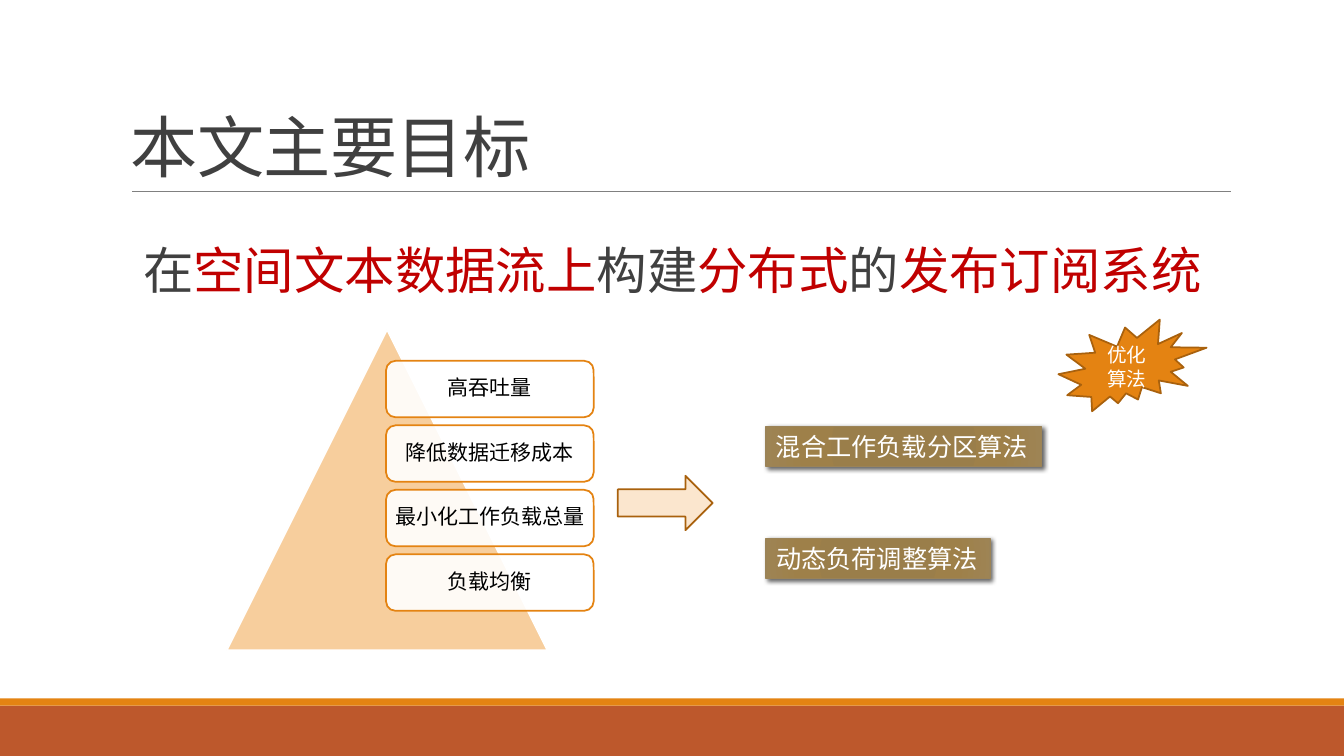
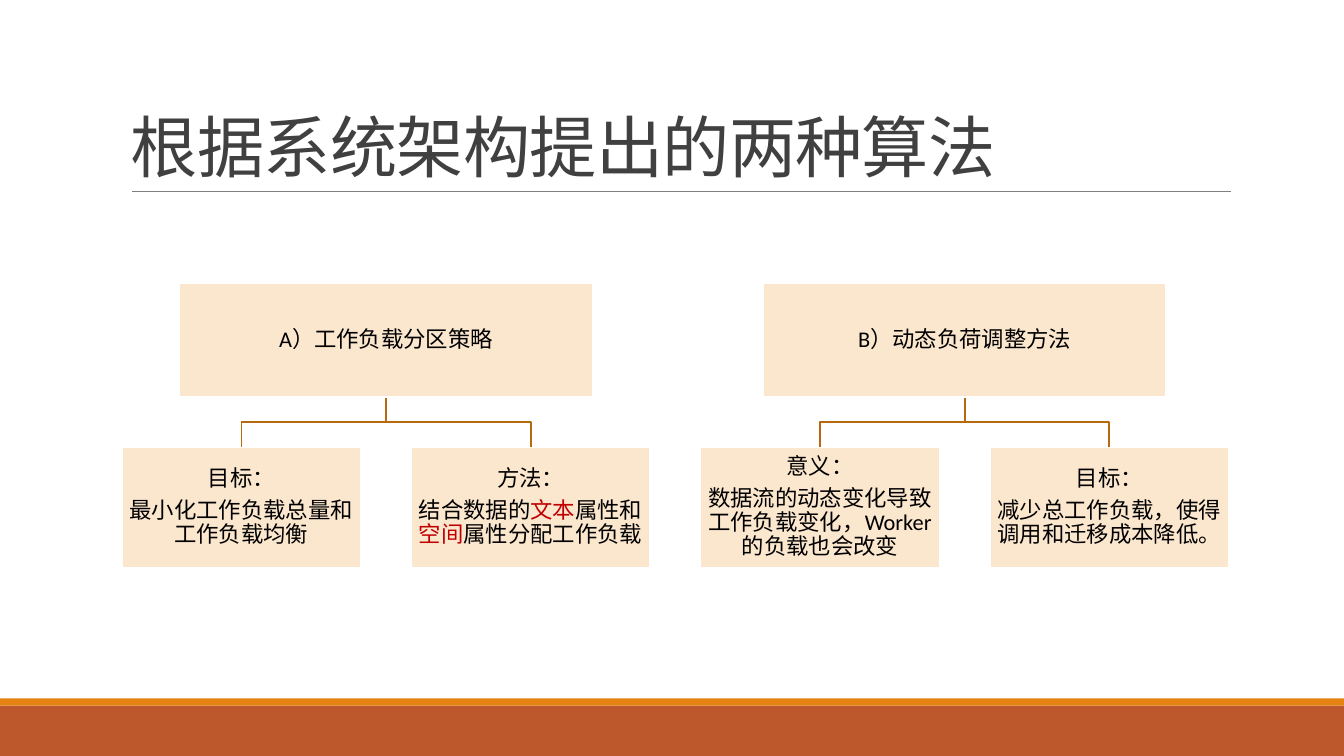
from pptx import Presentation
from pptx.dml.color import RGBColor
from pptx.enum.lang import MSO_LANGUAGE_ID
from pptx.enum.shapes import MSO_CONNECTOR, MSO_SHAPE
from pptx.enum.text import MSO_ANCHOR, PP_ALIGN
from pptx.oxml import parse_xml
from pptx.oxml.ns import nsdecls, qn
from pptx.util import Inches, Pt

RUST, ORANGE, DARK_ORANGE = "BD582C", "E48312", "A9610D"
PEACH, CREAM, WHITE, BLACK = "F7CE9D", "FBE6CE", "FFFFFF", "000000"
GREY, RULE_GREY, RED = "404040", "808080", "C00000"
TREE_LINE, BRONZE_LINE = "B7690E", "9B8357"
BRONZE_STOPS = {0: "9A7D48", 34: "9A7E4A", 70: "9E8049", 100: "9E8454"}

CENTRED = {"alignment": PP_ALIGN.CENTER}
DIAGRAM = {**CENTRED, "line_spacing": 0.9}
LEFT = {"alignment": PP_ALIGN.LEFT}


def rgb(color):
    return RGBColor.from_string(color)


def apply(target, values):
    for name, value in values.items():
        setattr(target, name, value)


def margins(horizontal, vertical):
    sides = {"left": horizontal, "right": horizontal, "top": vertical, "bottom": vertical}
    return {f"margin_{side}": Inches(value) for side, value in sides.items()}


class Deck:
    """Holds the presentation, its shared style and the current slide."""

    def __init__(self):
        self.presentation = Presentation()
        apply(self.presentation, {"slide_width": Inches(13.333), "slide_height": Inches(7.5)})
        self.slide = None

    def add_slide(self, title):
        self.slide = self.presentation.slides.add_slide(self.presentation.slide_layouts[6])
        self.shape(MSO_SHAPE.RECTANGLE, (0, 7, 13.333, 0.5), RUST)
        self.shape(MSO_SHAPE.RECTANGLE, (0, 6.93, 13.333, 0.07), ORANGE)
        self.rule((1.31, 1.9), (12.21, 1.9))
        box = self.text_box((1.2, 0.31, 11, 1.59), [title], 48, GREY,
                            frame={"vertical_anchor": MSO_ANCHOR.BOTTOM},
                            paragraph={"line_spacing": 0.85})
        for run in box.text_frame.paragraphs[0].runs:
            run.font._element.set("spc", "-50")

    def rule(self, start, end):
        points = [Inches(value) for value in (*start, *end)]
        line = self.slide.shapes.add_connector(MSO_CONNECTOR.STRAIGHT, *points)
        line.line.color.rgb = rgb(RULE_GREY)
        line.line.width = Pt(0.5)
        line._element.spPr.append(parse_xml(f"<a:effectLst {nsdecls('a')}/>"))

    def shape(self, kind, place, fill, outline=None, width=1.25):
        shape = self.slide.shapes.add_shape(kind, *map(Inches, place))
        shape.shadow.inherit = False
        shape.fill.solid()
        shape.fill.fore_color.rgb = rgb(fill)
        self.outline(shape, outline, width)
        return shape

    def outline(self, shape, color, width=1.25):
        if color:
            shape.line.color.rgb = rgb(color)
            shape.line.width = Pt(width)
        else:
            shape.line.fill.background()

    def text_box(self, place, paragraphs, size, color, **formats):
        box = self.slide.shapes.add_textbox(*map(Inches, place))
        self.add_text(box, paragraphs, size, color, **formats)
        return box

    def add_text(self, shape, paragraphs, size, color, font="Calibri", frame=None, paragraph=None):
        """Fill a shape; a paragraph is a string or a list of strings and (text, colour) pairs."""
        text_frame = shape.text_frame
        apply(text_frame, {"word_wrap": True, **(frame or {})})
        for index, content in enumerate(paragraphs):
            target = text_frame.add_paragraph() if index else text_frame.paragraphs[0]
            apply(target, paragraph or {})
            for part in [content] if isinstance(content, str) else content:
                text, run_color = (part, color) if isinstance(part, str) else part
                run = target.add_run()
                run.text = text
                apply(run.font, {"name": font, "size": Pt(size),
                                 "language_id": MSO_LANGUAGE_ID.SIMPLIFIED_CHINESE})
                run.font.color.rgb = rgb(run_color)

    def goal(self, place, text):
        """Rounded, slightly transparent card."""
        card = self.shape(MSO_SHAPE.ROUNDED_RECTANGLE, place, WHITE, ORANGE)
        color = card._element.spPr.find(qn("a:solidFill"))[0]
        color.append(parse_xml(f'<a:alpha {nsdecls("a")} val="90000"/>'))
        self.add_text(card, [text], 15, BLACK, frame=margins(0.05, 0.06), paragraph=DIAGRAM)

    def algorithm(self, place, text):
        """Bronze label with a radial gradient and a soft shadow."""
        label = self.shape(MSO_SHAPE.RECTANGLE, place, WHITE, BRONZE_LINE, 1)
        stops = "".join(f'<a:gs pos="{position * 1000}"><a:srgbClr val="{color}"/></a:gs>'
                        for position, color in BRONZE_STOPS.items())
        properties = label._element.spPr
        properties.replace(properties.find(qn("a:solidFill")), parse_xml(
            f'<a:gradFill {nsdecls("a")}><a:gsLst>{stops}</a:gsLst><a:path path="circle">'
            '<a:fillToRect l="100000" t="100000" r="100000" b="100000"/></a:path></a:gradFill>'))
        properties.find(qn("a:effectLst")).append(parse_xml(
            f'<a:outerShdw {nsdecls("a")} blurRad="{Pt(3)}" dist="{Pt(2)}" dir="2700000">'
            f'<a:srgbClr val="{BLACK}"><a:alpha val="60000"/></a:srgbClr></a:outerShdw>'))
        self.add_text(label, [text], 18, WHITE, paragraph=LEFT,
                      frame={"word_wrap": False, "vertical_anchor": MSO_ANCHOR.TOP})

    def node(self, place, paragraphs):
        box = self.shape(MSO_SHAPE.RECTANGLE, place, CREAM, WHITE)
        self.add_text(box, paragraphs, 16, BLACK, frame=margins(0.01, 0.01),
                      paragraph={**DIAGRAM, "space_after": Pt(5.6)})

    def branch(self, start, end):
        """Right-angled line that turns halfway down."""
        middle = (start[1] + end[1]) / 2
        points = [start, (start[0], middle), (end[0], middle), end]
        corners = [(Inches(x), Inches(y)) for x, y in points]
        builder = self.slide.shapes.build_freeform(*corners[0])
        builder.add_line_segments(corners[1:], close=False)
        line = builder.convert_to_shape()
        line.shadow.inherit = False
        line.fill.background()
        self.outline(line, TREE_LINE)


def build_goals(deck):
    deck.add_slide("本文主要目标")
    statement = ["在", ("空间文本数据流上", RED), "构建", ("分布式", RED), "的", ("发布订阅系统", RED)]
    deck.text_box((1.2, 2.39, 11, 4.03), [statement], 36, GREY, font="Times New Roman",
                  frame={**margins(0, 0.05), "margin_left": Inches(0.22)},
                  paragraph={"line_spacing": 0.9, "space_before": Pt(2), "space_after": Pt(4)})
    deck.shape(MSO_SHAPE.ISOSCELES_TRIANGLE, (2.25, 3.27, 3.18, 3.18), PEACH, WHITE)
    goals = ["高吞吐量", "降低数据迁移成本", "最小化工作负载总量", "负载均衡"]
    for row, goal in enumerate(goals):
        deck.goal((3.83, 3.58 + row * 0.64, 2.06, 0.56), goal)
    deck.shape(MSO_SHAPE.RIGHT_ARROW, (6.13, 4.72, 0.94, 0.54), CREAM, DARK_ORANGE)
    deck.algorithm((7.6, 4.23, 2.73, 0.4), "混合工作负载分区算法")
    deck.algorithm((7.6, 5.34, 2.22, 0.4), "动态负荷调整算法")
    burst = deck.shape(MSO_SHAPE.EXPLOSION2, (10.5, 3.17, 1.47, 0.91), ORANGE, DARK_ORANGE)
    deck.add_text(burst, ["优化算法"], 14, WHITE, paragraph=CENTRED)


def build_algorithms(deck):
    deck.add_slide("根据系统架构提出的两种算法")
    method = ["结合数据的", ("文本", RED), "属性和", ("空间", RED), "属性分配工作负载"]
    trees = [
        ("A）工作负载分区策略", 4.11,
         [["目标：", "最小化工作负载总量和工作负载均衡"], ["方法：", method]]),
        ("B）动态负荷调整方法", 4,
         [["意义：", "数据流的动态变化导致工作负载变化，Worker的负载也会改变"],
          ["目标：", "减少总工作负载，使得调用和迁移成本降低。"]]),
    ]
    leaf_width, leaf_step, leaf_top = 2.37, 2.87, 4.44
    root_top, root_height = 2.81, 1.13
    for tree, (heading, root_width, leaves) in enumerate(trees):
        first_left = 1.21 + tree * len(leaves) * leaf_step
        center = first_left + (leaf_step + leaf_width) / 2
        lefts = [first_left + index * leaf_step for index in range(len(leaves))]
        for left in lefts:
            deck.branch((center, root_top + root_height), (left + leaf_width / 2, leaf_top))
        deck.node((center - root_width / 2, root_top, root_width, root_height), [heading])
        for left, leaf in zip(lefts, leaves):
            deck.node((left, leaf_top, leaf_width, 1.19), leaf)


def main():
    deck = Deck()
    build_goals(deck)
    build_algorithms(deck)
    deck.presentation.save("out.pptx")


if __name__ == "__main__":
    main()
